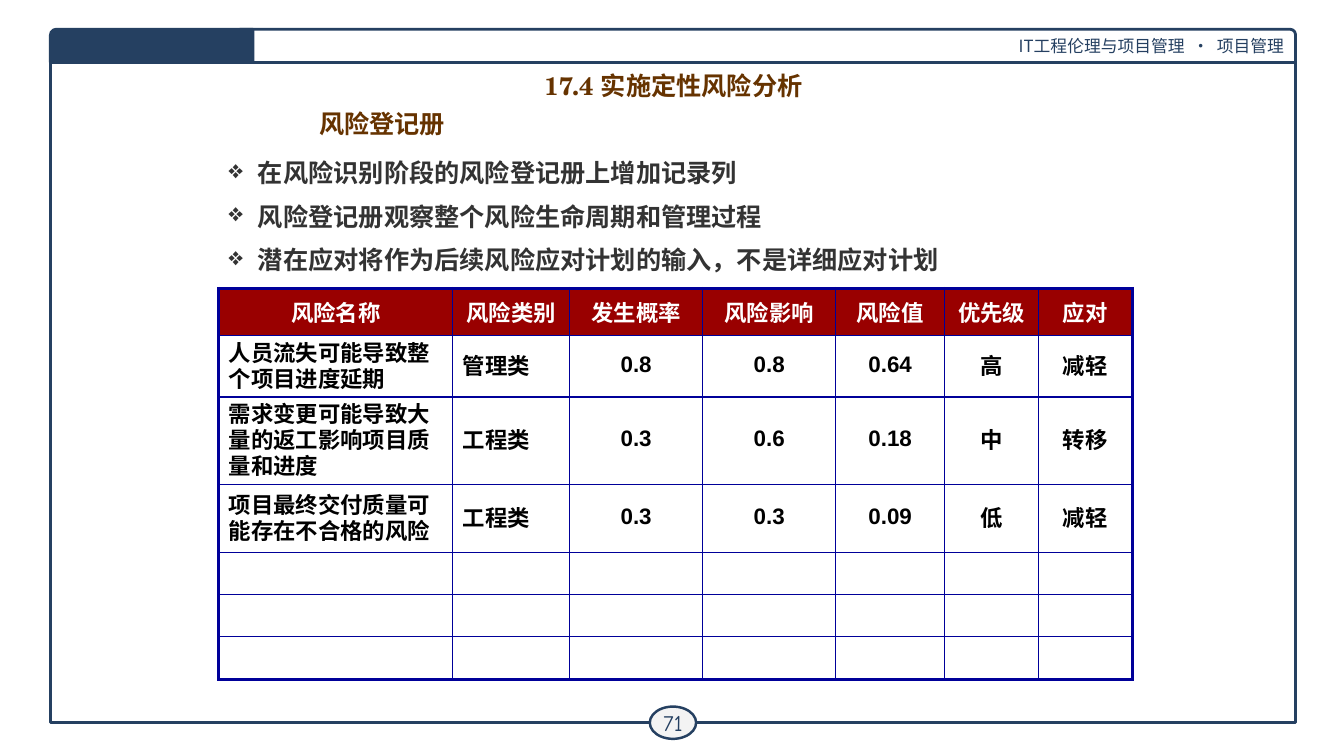
from lxml import etree
from pptx import Presentation
from pptx import util as u
from pptx.dml.color import RGBColor
from pptx.enum import shapes, text
from pptx.oxml import ns

NAVY, BROWN, GREY, RULE = "254061", "663300", "333333", "000099"
SANS, SERIF = "Noto Sans CJK SC", "TeX Gyre Schola"
CENTER, LEFT, RIGHT = text.PP_ALIGN.CENTER, text.PP_ALIGN.LEFT, text.PP_ALIGN.RIGHT
MIDDLE = text.MSO_ANCHOR.MIDDLE

BULLETS = [
    "在风险识别阶段的风险登记册上增加记录列",
    "风险登记册观察整个风险生命周期和管理过程",
    "潜在应对将作为后续风险应对计划的输入，不是详细应对计划",
]
COLS = [2.32, 1.16, 1.32, 1.32, 1.08, 0.93, 0.93]
ROWS = [0.47, 0.61, 0.87, 0.67, 0.42, 0.42, 0.42]
RISKS = [
    ["风险名称", "风险类别", "发生概率", "风险影响", "风险值", "优先级", "应对"],
    ["人员流失可能导致整个项目进度延期", "管理类", "0.8", "0.8", "0.64", "高", "减轻"],
    ["需求变更可能导致大量的返工影响项目质量和进度", "工程类", "0.3", "0.6", "0.18", "中", "转移"],
    ["项目最终交付质量可能存在不合格的风险", "工程类", "0.3", "0.3", "0.09", "低", "减轻"],
]


def rgb(value):
    """Turn a hex string into a colour."""
    return RGBColor.from_string(value)


def inches(*values):
    """Turn numbers into lengths."""
    return [u.Inches(v) for v in values]


def write(p, words, size=18, font=SERIF, asian=None, color=GREY, bold=False, align=LEFT):
    """Add a formatted run to a paragraph."""
    p.alignment = align
    r = p.add_run()
    r.text = words
    r.font.size, r.font.bold, r.font.name = u.Pt(size), bold, font
    r.font.color.rgb = rgb(color)
    etree.SubElement(r._r.get_or_add_rPr(), ns.qn("a:ea"), typeface=asian or font)


def add_box(s, kind, box, fill=None, weight=2):
    """Add an outlined preset shape and return it."""
    sp = s.shapes.add_shape(kind, *inches(*box))
    sp.shadow.inherit = False
    sp.line.color.rgb, sp.line.width = rgb(NAVY), u.Pt(weight)
    if fill:
        sp.fill.solid()
        sp.fill.fore_color.rgb = rgb(fill)
    else:
        sp.fill.background()
    sp.text_frame.vertical_anchor = MIDDLE
    return sp


def add_text(s, box):
    """Add a wrapping text box and return its frame."""
    tf = s.shapes.add_textbox(*inches(*box)).text_frame
    tf.word_wrap = True
    return tf


def add_frame(s, x, y, w, h):
    """Draw the page frame with its header band and page number."""
    band, tab, badge_w, badge_h = 0.33, 2.01, 0.46, 0.32
    add_box(s, shapes.MSO_SHAPE.RECTANGLE, (x, y + 0.21, w, h - 0.21))
    corner = shapes.MSO_SHAPE.ROUND_1_RECTANGLE
    header = add_box(s, corner, (x + 1.88, y, w - 1.88, band), "FFFFFF")
    write(header.text_frame.paragraphs[0], "IT工程伦理与项目管理  ·  项目管理",
          size=12, font=SANS, color=NAVY, align=RIGHT)
    badge = add_box(s, shapes.MSO_SHAPE.OVAL,
                    (x + (w - badge_w) / 2, y + h - badge_h / 2, badge_w, badge_h),
                    "F3F3F3", 1.75)
    tf = badge.text_frame
    tf.word_wrap = False
    tf.margin_left = tf.margin_right = tf.margin_top = tf.margin_bottom = u.Inches(0.04)
    write(tf.paragraphs[0], "71", size=16, font="Comic Neue", color=NAVY, align=CENTER)
    block = add_box(s, corner, (x, y, tab, band), NAVY)
    block.adjustments[0] = 0.175
    block._element.spPr.find(ns.qn("a:xfrm")).set("flipH", "1")


def add_heading(s, words, *box):
    """Write a centred brown heading."""
    write(add_text(s, box).paragraphs[0], words, color=BROWN, bold=True, align=CENTER)


def add_bullets(s, *box):
    """Write the bulleted points."""
    tf = add_text(s, box)
    for i, words in enumerate(BULLETS):
        p = tf.add_paragraph() if i else tf.paragraphs[0]
        p.space_before, p.space_after = u.Pt(7.2 if i else 0), u.Pt(2.4)
        pPr = p._p.get_or_add_pPr()
        pPr.set("marL", str(u.Inches(0.29)))
        pPr.set("indent", str(u.Inches(-0.29)))
        etree.SubElement(pPr, ns.qn("a:buChar"), char="❖")
        write(p, words, bold=True)


def set_borders(cell, outer):
    """Rule a cell, heavier on the sides that lie on the table's edge."""
    tcPr = cell._tc.get_or_add_tcPr()
    for i, side in enumerate("LRTB"):
        ln = etree.Element(ns.qn("a:ln" + side), w=str(u.Pt(2.25 if side in outer else 1)))
        fill = etree.SubElement(ln, ns.qn("a:solidFill"))
        etree.SubElement(fill, ns.qn("a:srgbClr"), val=RULE)
        tcPr.insert(i, ln)


def add_register(s, x, y):
    """Build the risk register table."""
    table = s.shapes.add_table(len(ROWS), len(COLS),
                               *inches(x, y, sum(COLS), sum(ROWS))).table
    table.first_row = table.horz_banding = False
    for col, width in zip(table.columns, COLS):
        col.width = u.Inches(width)
    for i, height in enumerate(ROWS):
        table.rows[i].height = u.Inches(height)
        for j in range(len(COLS)):
            cell = table.cell(i, j)
            cell.vertical_anchor = MIDDLE
            if i == 0:
                cell.fill.solid()
                cell.fill.fore_color.rgb = rgb("990000")
            else:
                cell.fill.background()
            edges = {"L": j == 0, "R": j == len(COLS) - 1,
                     "T": i == 0, "B": i == len(ROWS) - 1}
            set_borders(cell, [side for side, on in edges.items() if on])
            if i < len(RISKS):
                p = cell.text_frame.paragraphs[0]
                p.line_spacing = 0.8 if i else 1.0
                write(p, RISKS[i][j], size=16, font="Arial", asian=SANS, bold=True,
                      color="000000" if i else "FFFFFF",
                      align=LEFT if i and j < 2 else CENTER)


def main():
    """Build and save the slide."""
    prs = Presentation()
    prs.slide_width, prs.slide_height = inches(13.33, 7.5)
    s = prs.slides.add_slide(prs.slide_layouts[6])
    add_frame(s, 0.5, 0.29, 12.35, 6.88)
    add_heading(s, "风险登记册", 2.17, 1.03, 3.24, 0.48)
    add_register(s, 2.17, 2.86)
    add_bullets(s, 2.17, 1.51, 8.92, 1.16)
    add_heading(s, "17.4 实施定性风险分析", 2.18, 0.65, 9, 0.39)
    prs.save("out.pptx")


if __name__ == "__main__":
    main()
